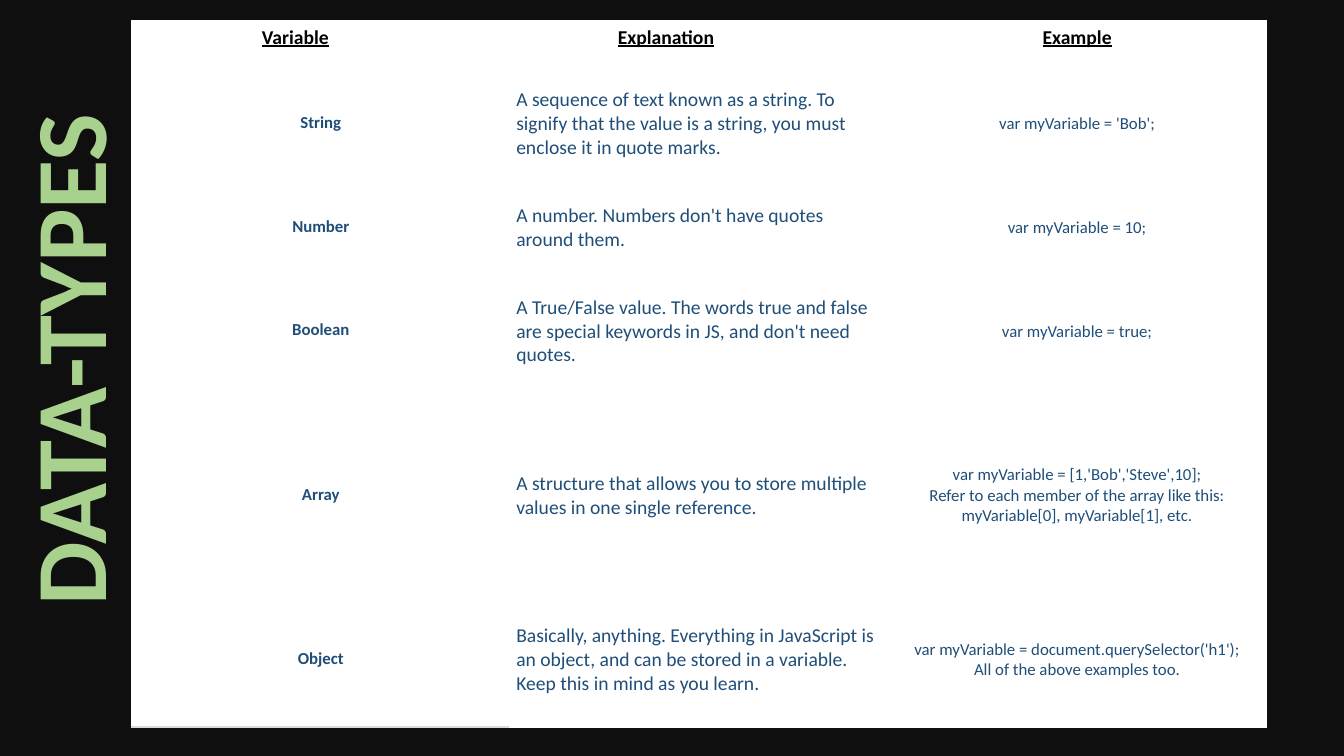
from lxml import etree
from pptx import Presentation
from pptx.dml.color import RGBColor
from pptx.enum.text import MSO_ANCHOR as Anchor, MSO_AUTO_SIZE as AutoSize, PP_ALIGN as Align
from pptx.oxml.ns import qn
from pptx.util import Cm, Pt

FONT = "Calibri"
BLACK = RGBColor(0x00, 0x00, 0x00)
WHITE = RGBColor(0xFF, 0xFF, 0xFF)
NAVY = RGBColor(0x1F, 0x4E, 0x79)
GREEN = RGBColor(0xA9, 0xD1, 0x8E)
PALE = RGBColor(0xD4, 0xDD, 0xE4)
BACKGROUND = RGBColor(0x0F, 0x0F, 0x0F)

COLUMN_WIDTH = 9.53
ROW_HEIGHTS = [0.91, 3.38, 1.85, 3.38, 4.9, 3.38]
HEADERS = [("Variable", Align.LEFT, 3.28),
           ("Explanation", Align.LEFT, 2.72),
           ("Example", Align.CENTER, 0.16)]
DATA_TYPES = [
    ("String",
     "A sequence of text known as a string. To signify that the value is a string, "
     "you must enclose it in quote marks.",
     "var myVariable = 'Bob';"),
    ("Number",
     "A number. Numbers don't have quotes around them.",
     "var myVariable = 10;"),
    ("Boolean",
     "A True/False value. The words true and false are special keywords in JS, "
     "and don't need quotes.",
     "var myVariable = true;"),
    ("Array",
     "A structure that allows you to store multiple values in one single reference.",
     "var myVariable = [1,'Bob','Steve',10];\v"
     "Refer to each member of the array like this:\v"
     "myVariable[0], myVariable[1], etc."),
    ("Object",
     "Basically, anything. Everything in JavaScript is an object, and can be stored "
     "in a variable. Keep this in mind as you learn.",
     "var myVariable = document.querySelector('h1');\v"
     "All of the above examples too."),
]


def format_runs(p, size, color, bold=False, underline=False):
    for r in p.runs:
        r.font.name = FONT
        r.font.size = Pt(size)
        r.font.color.rgb = color
        r.font.bold = bold
        r.font.underline = underline


def set_borders(cell, bottom=WHITE):
    """Draw the four sides of a cell; call before the fill, which must follow them."""
    tc_pr = cell._tc.get_or_add_tcPr()
    for side, color in (("L", WHITE), ("R", WHITE), ("T", WHITE), ("B", bottom)):
        ln = etree.SubElement(tc_pr, qn(f"a:ln{side}"), w=str(Pt(1.5)))
        fill = etree.SubElement(ln, qn("a:solidFill"))
        etree.SubElement(fill, qn("a:srgbClr"), val=str(color))


def fill_cell(cell, text, align, size, color, bold=False, underline=False,
              left=0.16, top=0.1, bottom=0.1, border=WHITE):
    set_borders(cell, border)
    cell.fill.solid()
    cell.fill.fore_color.rgb = WHITE
    cell.vertical_anchor = Anchor.MIDDLE
    cell.margin_left, cell.margin_right = Cm(left), Cm(0.16)
    cell.margin_top, cell.margin_bottom = Cm(top), Cm(bottom)
    p = cell.text_frame.paragraphs[0]
    p.text = text
    p.alignment = align
    format_runs(p, size, color, bold, underline)


def add_data_types_table(s):
    table = s.shapes.add_table(len(ROW_HEIGHTS), len(HEADERS), Cm(3.32), Cm(0.52),
                               Cm(COLUMN_WIDTH * len(HEADERS)), Cm(sum(ROW_HEIGHTS))).table
    table.first_row = table.horz_banding = False
    for column in table.columns:
        column.width = Cm(COLUMN_WIDTH)
    for row, height in zip(table.rows, ROW_HEIGHTS):
        row.height = Cm(height)

    for col, (text, align, left) in enumerate(HEADERS):
        fill_cell(table.cell(0, col), text, align, 14, BLACK, bold=True, underline=True,
                  left=left, top=0.02, bottom=0.08)
    for row, (name, explanation, example) in enumerate(DATA_TYPES, start=1):
        border = PALE if row == len(DATA_TYPES) else WHITE
        fill_cell(table.cell(row, 0), name, Align.CENTER, 12, NAVY, bold=True,
                  top=0.02, bottom=0.08, border=border)
        fill_cell(table.cell(row, 1), explanation, Align.LEFT, 14, NAVY)
        fill_cell(table.cell(row, 2), example, Align.CENTER, 12, NAVY)


def set_side_title(s, text):
    title = s.shapes.title
    title.left, title.top, title.width, title.height = Cm(-6.15), Cm(7.39), Cm(15.65), Cm(3.33)
    title.rotation = 270
    tf = title.text_frame
    tf.text = text
    tf.word_wrap = True
    tf.auto_size = AutoSize.NONE
    tf.vertical_anchor = Anchor.TOP
    p = tf.paragraphs[0]
    p.alignment = Align.CENTER
    format_runs(p, 72, GREEN, bold=True)


def main():
    prs = Presentation()
    prs.slide_width, prs.slide_height = Cm(33.87), Cm(19.05)
    s = prs.slides.add_slide(prs.slide_layouts.get_by_name("Title Only"))
    s.background.fill.solid()
    s.background.fill.fore_color.rgb = BACKGROUND
    set_side_title(s, "DATA-TYPES")
    add_data_types_table(s)
    prs.save("out.pptx")


if __name__ == "__main__":
    main()
